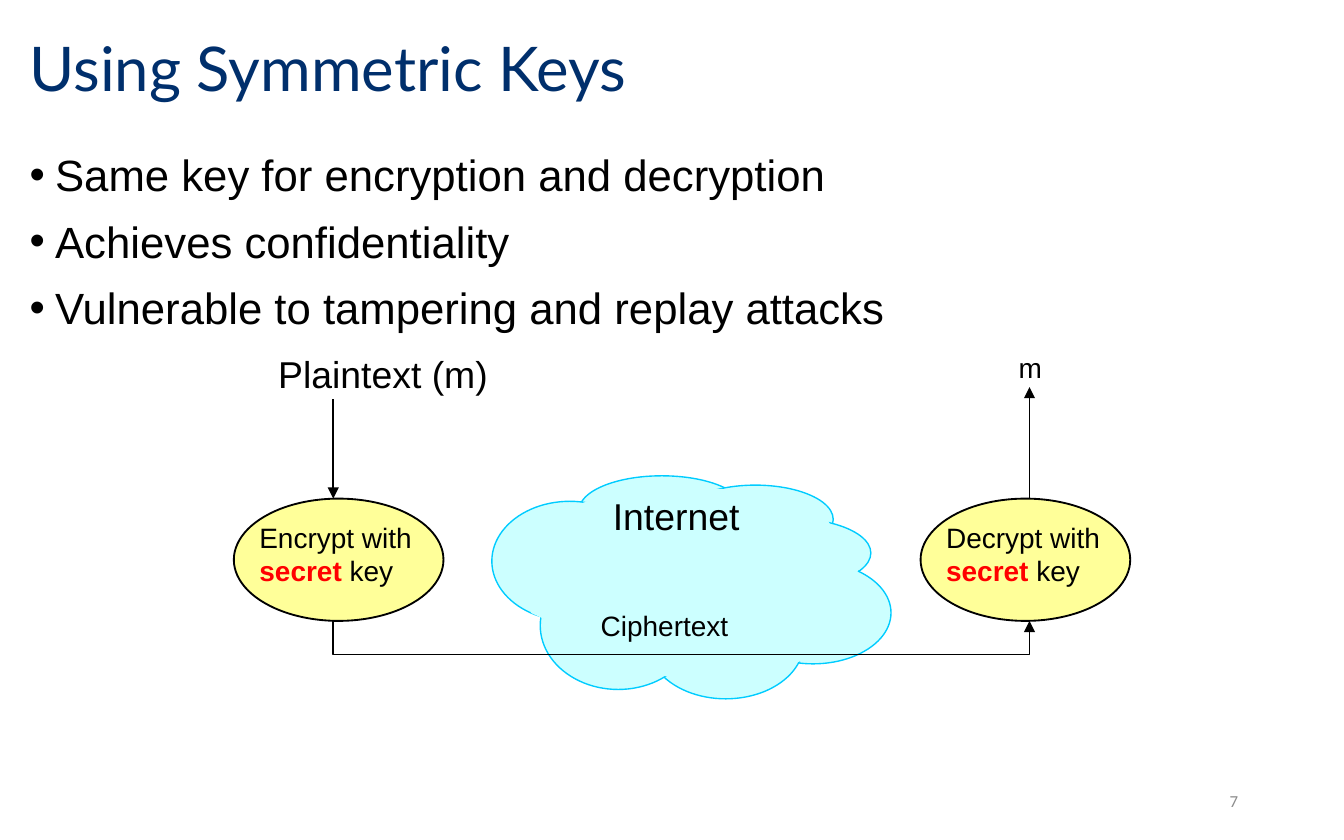
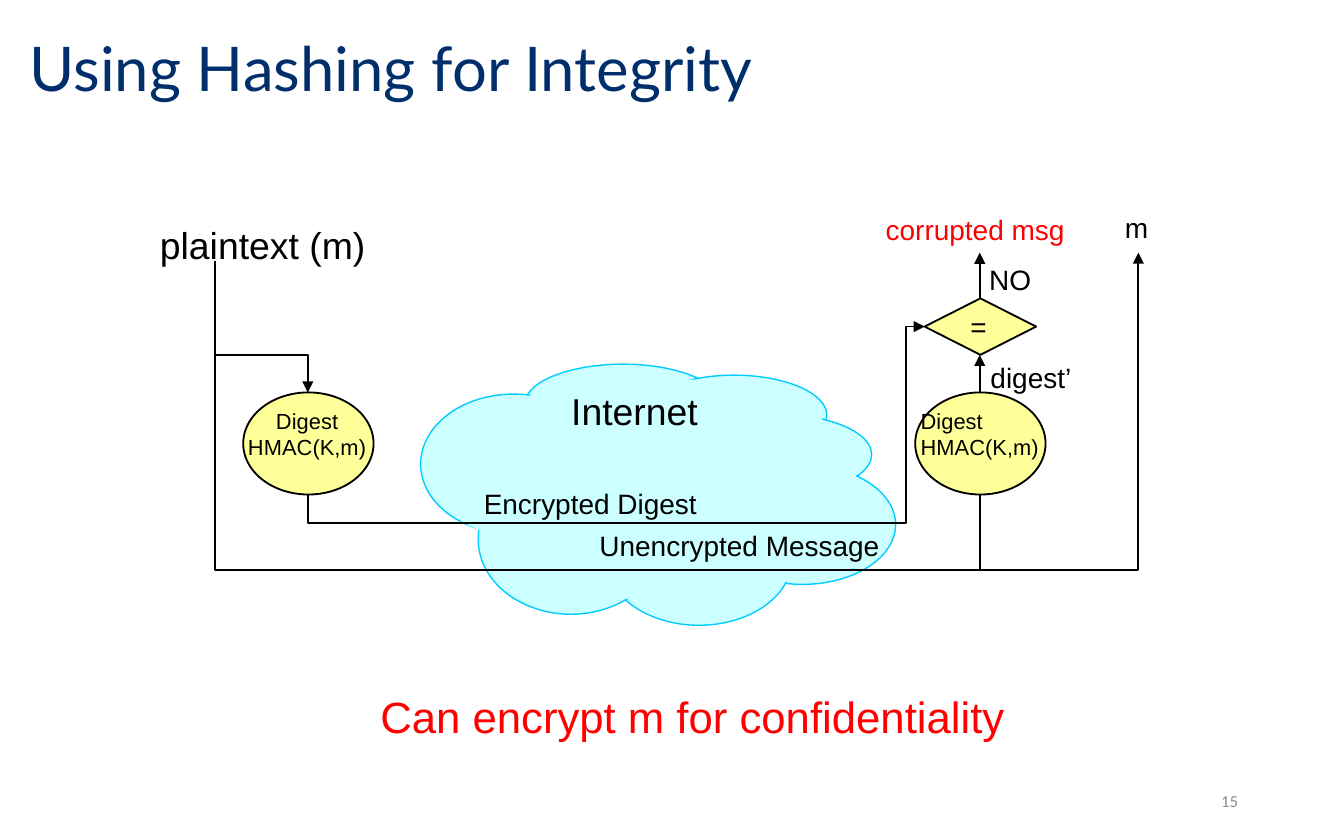
"""Build two slides on symmetric keys and on hashing for integrity."""
import pptx
import pptx.dml.color
import pptx.enum.shapes
import pptx.enum.text
import pptx.oxml
import pptx.oxml.ns
import pptx.util

Inches = pptx.util.Inches
Pt = pptx.util.Pt
RGBColor = pptx.dml.color.RGBColor
MSO_SHAPE = pptx.enum.shapes.MSO_SHAPE
PP_ALIGN = pptx.enum.text.PP_ALIGN
MSO_ANCHOR = pptx.enum.text.MSO_ANCHOR
MSO_AUTO_SIZE = pptx.enum.text.MSO_AUTO_SIZE

NAVY = RGBColor(0x00, 0x2F, 0x6C)
BLACK = RGBColor(0x00, 0x00, 0x00)
RED = RGBColor(0xFF, 0x00, 0x00)
GRAY = RGBColor(0x8C, 0x8C, 0x8C)
YELLOW = RGBColor(0xFF, 0xFF, 0x99)
CLOUD_FILL = RGBColor(0xCC, 0xFF, 0xFF)
CLOUD_LINE = RGBColor(0x00, 0xCC, 0xFF)

CLOUD_PUFFS = [
    (0.65, 0, 1.23, 0.51), (1.38, 0.07, 1.16, 0.51), (1.66, 0.32, 1.16, 0.51),
    (1.81, 0.64, 1.16, 0.76), (1.16, 0.83, 1.16, 0.83),
    (0.36, 0.64, 1.16, 0.95), (0, 0.19, 1.16, 0.89),
]
CLOUD_CORE = [
    (0.36, 0.32), (0.87, 0.13), (1.3, 0.07), (2.17, 0.13), (2.46, 0.26),
    (2.6, 0.51), (2.75, 0.58), (2.6, 1.28), (1.66, 1.59), (0.73, 1.34),
    (0.44, 1.09), (0.29, 1.02),
]


def fill_text(tf, text, size=15, color=BLACK, font="Arial", align=PP_ALIGN.LEFT,
              key_word=None, line_spacing=None, bullet=False):
    """Write text into a frame, one paragraph a line, with key_word in bold red."""
    for i, line in enumerate(text.split("\n")):
        p = tf.paragraphs[0] if i == 0 else tf.add_paragraph()
        p.alignment = align
        p.line_spacing = line_spacing
        parts = line.partition(key_word) if key_word else [line]
        for part in filter(None, parts):
            r = p.add_run()
            r.text = part
            r.font.size = Pt(size)
            r.font.name = font
            r.font.bold = part == key_word
            r.font.color.rgb = RED if part == key_word else color
        if bullet:
            p.space_before = Pt(7.5)
            pPr = p._p.get_or_add_pPr()
            pPr.set("marL", str(Inches(0.19)))
            pPr.set("indent", str(-Inches(0.19)))
            bu = pptx.oxml.parse_xml(
                '<a:buChar xmlns:a="http://schemas.openxmlformats.org/drawingml/2006/main" char="•"/>')
            pPr.append(bu)


def add_path(slide, points, close=False):
    """Draw a line through the points: a straight connector, or a freeform."""
    points = [(Inches(px), Inches(py)) for px, py in points]
    if len(points) == 2:
        sp = slide.shapes.add_connector(pptx.enum.shapes.MSO_CONNECTOR.STRAIGHT,
                                        *points[0], *points[1])
        sp._element.spPr.append(pptx.oxml.parse_xml(
            '<a:effectLst xmlns:a="http://schemas.openxmlformats.org/drawingml/2006/main"/>'))
    else:
        fb = slide.shapes.build_freeform(*points[0])
        fb.add_line_segments(points[1:], close=close)
        sp = fb.convert_to_shape()
        sp.fill.background()
        sp.shadow.inherit = False
    return sp


prs = pptx.Presentation()
prs.slide_width = Inches(10)
prs.slide_height = Inches(6.25)

ELLIPSE = MSO_SHAPE.OVAL
LEFT, CENTER = PP_ALIGN.LEFT, PP_ALIGN.CENTER
slides = [
    {
        "title": "Using Symmetric Keys",
        "number": "7",
        "bullets": "Same key for encryption and decryption\n"
                   "Achieves confidentiality\n"
                   "Vulnerable to tampering and replay attacks",
        "cloud": (3.66, 3.54, 1, 1),
        "arrows": [
            [(2.48, 2.97), (2.48, 3.71)],
            [(2.48, 4.62), (2.48, 4.87), (7.66, 4.87), (7.66, 4.62)],
            [(7.66, 3.71), (7.66, 2.88)],
        ],
        "nodes": [(ELLIPSE, 1.74, 3.71, 1.56, 0.91), (ELLIPSE, 6.85, 3.71, 1.56, 0.91)],
        "labels": [
            ((4.48, 3.63, 1.11, 0.42), "Internet", 20, BLACK, LEFT),
            ((1.85, 3.83, 1.31, 0.59), "Encrypt with\nsecret key", 15, BLACK, LEFT),
            ((6.96, 3.83, 1.33, 0.59), "Decrypt with\nsecret key", 15, BLACK, LEFT),
            ((1.99, 2.57, 1.74, 0.42), "Plaintext (m)", 20, BLACK, LEFT),
            ((7.5, 2.57, 0.34, 0.33), "m", 15, BLACK, LEFT),
            ((4.39, 4.49, 1.13, 0.33), "Ciphertext", 15, BLACK, LEFT),
        ],
    },
    {
        "title": "Using Hashing for Integrity",
        "number": "15",
        "bullets": None,
        "cloud": (3.13, 2.71, 1.19, 1.17),
        "arrows": [
            [(7.29, 2.92), (7.29, 2.64)],
            [(1.6, 1.94), (1.6, 4.24), (7.29, 4.24), (7.29, 3.58)],
            [(1.6, 2.64), (2.29, 2.64), (2.29, 2.92)],
            [(2.29, 3.68), (2.29, 3.89), (6.74, 3.89), (6.74, 2.43), (6.88, 2.43)],
            [(7.29, 2.22), (7.29, 1.88)],
            [(7.29, 4.24), (8.47, 4.24), (8.47, 1.88)],
        ],
        "nodes": [
            (ELLIPSE, 1.81, 2.92, 0.97, 0.76),
            (ELLIPSE, 6.81, 2.92, 0.97, 0.76),
            (MSO_SHAPE.DIAMOND, 6.88, 2.22, 0.83, 0.42),
        ],
        "labels": [
            ((4.17, 2.85, 1.12, 0.42), "Internet", 20, BLACK, LEFT),
            ((1.76, 2.99, 1.05, 0.47), "Digest\nHMAC(K,m)", 11.7, BLACK, CENTER),
            ((1.11, 1.61, 1.71, 0.42), "plaintext (m)", 20, BLACK, LEFT),
            ((3.52, 3.58, 1.77, 0.33), "Encrypted Digest", 15, BLACK, LEFT),
            ((6.77, 2.99, 1.05, 0.47), "Digest\nHMAC(K,m)", 11.7, BLACK, LEFT),
            ((7.14, 2.26, 0.29, 0.33), "=", 15, BLACK, LEFT),
            ((7.29, 2.64, 0.83, 0.33), "digest’", 15, BLACK, LEFT),
            ((7.28, 1.91, 0.48, 0.33), "NO", 15, BLACK, LEFT),
            ((6.51, 1.54, 1.51, 0.33), "corrupted msg", 15, RED, LEFT),
            ((8.29, 1.53, 0.33, 0.33), "m", 15, BLACK, LEFT),
            ((4.38, 3.89, 2.28, 0.33), "Unencrypted Message", 15, BLACK, LEFT),
            ((2.75, 5.09, 4.84, 0.47), "Can encrypt m for confidentiality", 23.4, RED, LEFT),
        ],
    },
]

for content in slides:
    layout = prs.slide_layouts[1 if content["bullets"] else 5]
    slide = prs.slides.add_slide(layout)

    title = slide.shapes.title
    title.left, title.top, title.width, title.height = map(Inches, (0.12, 0.1, 8.52, 0.86))
    title.text_frame.vertical_anchor = MSO_ANCHOR.MIDDLE
    title.text_frame.auto_size = MSO_AUTO_SIZE.NONE
    fill_text(title.text_frame, content["title"], size=33, color=NAVY, font="Lato",
              line_spacing=0.9)

    if content["bullets"]:
        body = slide.placeholders[1]
        body.left, body.top, body.width, body.height = map(Inches, (0.12, 1.05, 9.77, 4.58))
        body.text_frame.auto_size = MSO_AUTO_SIZE.NONE
        fill_text(body.text_frame, content["bullets"], size=23.4, bullet=True)

    x, y, sx, sy = content["cloud"]
    for left, top, width, height in CLOUD_PUFFS:
        sp = slide.shapes.add_shape(ELLIPSE, Inches(x + left * sx), Inches(y + top * sy),
                                    Inches(width * sx), Inches(height * sy))
        sp.shadow.inherit = False
        sp.fill.solid()
        sp.fill.fore_color.rgb = CLOUD_FILL
        sp.line.color.rgb = CLOUD_LINE
        sp.line.width = Pt(0.75)
    core = add_path(slide, [(x + px * sx, y + py * sy) for px, py in CLOUD_CORE], close=True)
    core.fill.solid()
    core.fill.fore_color.rgb = CLOUD_FILL
    core.line.fill.background()

    for points in content["arrows"]:
        sp = add_path(slide, points)
        sp.line.color.rgb = BLACK
        sp.line.width = Pt(1)
        ln = sp.line._get_or_add_ln()
        ln.append(ln.makeelement(pptx.oxml.ns.qn("a:tailEnd"), {"type": "triangle"}))

    for kind, *box in content["nodes"]:
        sp = slide.shapes.add_shape(kind, *map(Inches, box))
        sp.shadow.inherit = False
        sp.fill.solid()
        sp.fill.fore_color.rgb = YELLOW
        sp.line.color.rgb = BLACK
        sp.line.width = Pt(1)

    for box, text, size, color, align in content["labels"]:
        tf = slide.shapes.add_textbox(*map(Inches, box)).text_frame
        tf.word_wrap = False
        tf.auto_size = MSO_AUTO_SIZE.SHAPE_TO_FIT_TEXT
        tf.margin_left = tf.margin_right = Inches(0.08)
        tf.margin_top = tf.margin_bottom = Inches(0.04)
        fill_text(tf, text, size=size, color=color, align=align, key_word="secret")

    tf = slide.shapes.add_textbox(*map(Inches, (7.06, 5.79, 2.25, 0.33))).text_frame
    tf.word_wrap = True
    tf.vertical_anchor = MSO_ANCHOR.MIDDLE
    fill_text(tf, content["number"], size=9, color=GRAY, font="Calibri",
              align=PP_ALIGN.RIGHT)

prs.save("out.pptx")
